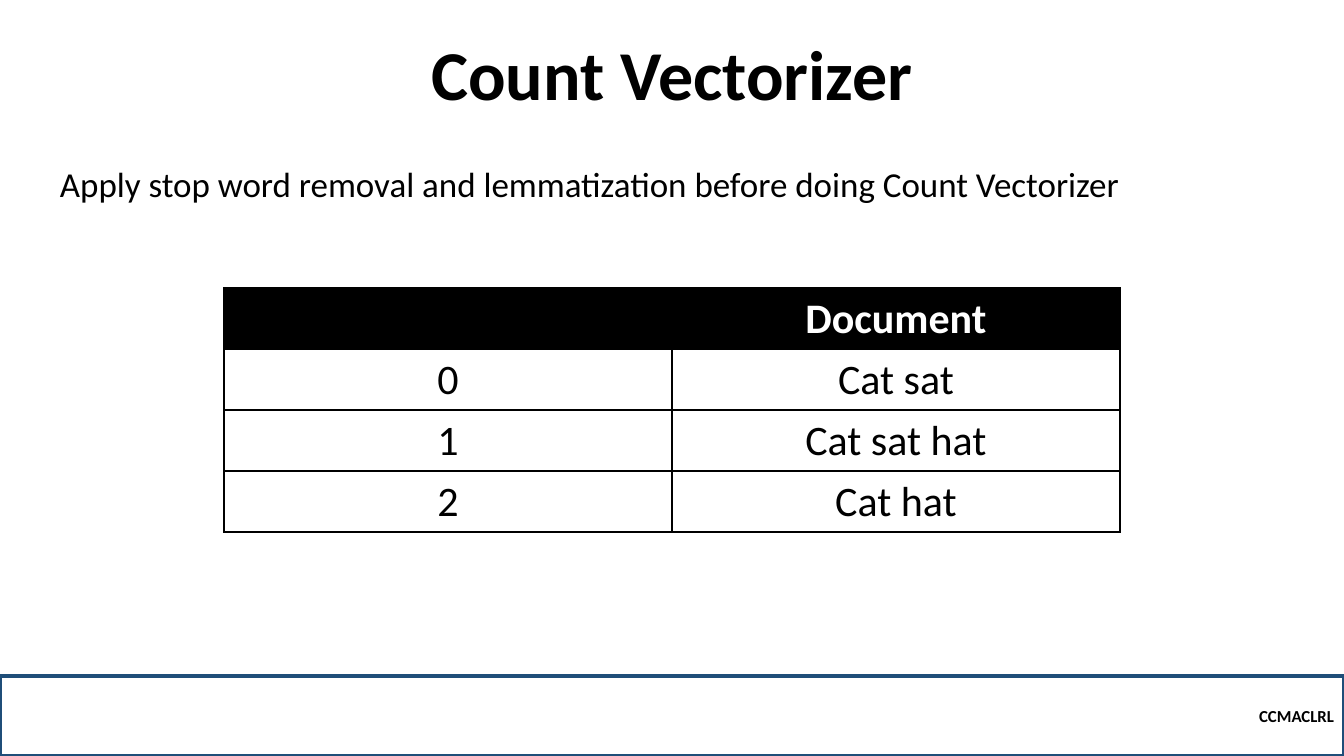
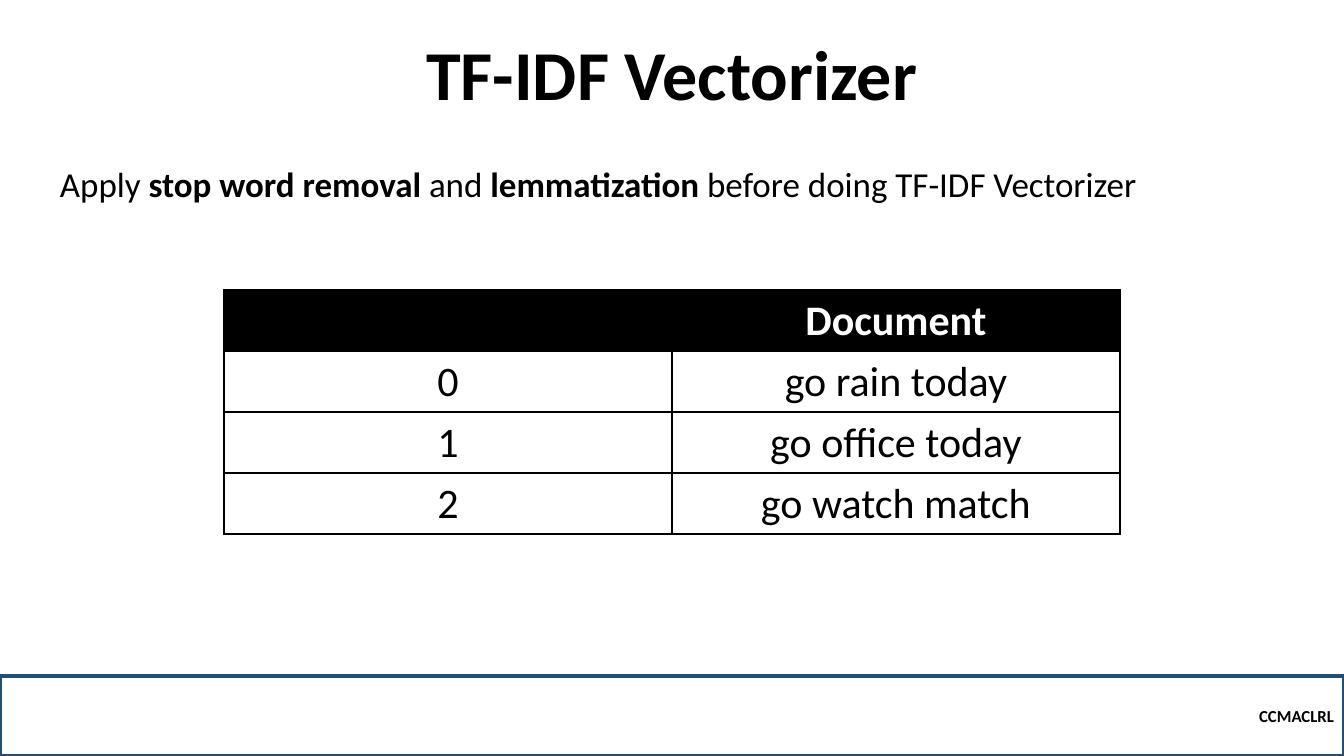
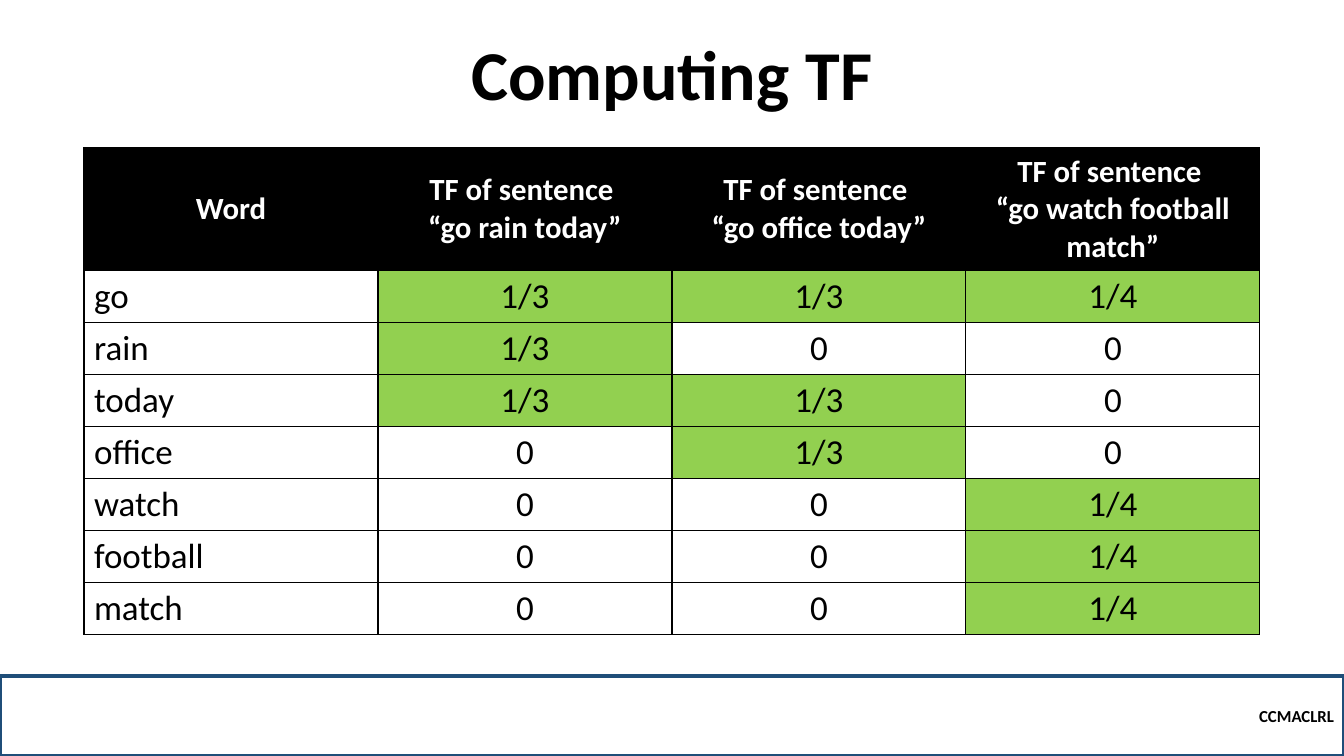
"""Build three slides on count and TF-IDF vectorizers."""
from lxml import etree
from pptx import Presentation
from pptx.dml.color import RGBColor
from pptx.enum.shapes import MSO_SHAPE
from pptx.enum.text import MSO_ANCHOR, PP_ALIGN
from pptx.oxml.ns import qn
from pptx.util import Pt

PX = 9071
WIDTH, HEIGHT = 1344, 756
MARGIN = 50
FONT = "Calibri"
BLACK, WHITE, NAVY, GREEN = "000000", "FFFFFF", "1F4E79", "92D050"
RECT = MSO_SHAPE.RECTANGLE
MIDDLE, BOTTOM = MSO_ANCHOR.MIDDLE, MSO_ANCHOR.BOTTOM
LEFT, CENTER, RIGHT = PP_ALIGN.LEFT, PP_ALIGN.CENTER, PP_ALIGN.RIGHT


def rgb(color):
    return RGBColor.from_string(color)


def write(p, runs, size, align=LEFT, color=BLACK):
    p.alignment = align
    for text, bold in runs:
        r = p.add_run()
        r.text = text
        r.font.name = FONT
        r.font.size = Pt(size)
        r.font.bold = bold
        r.font.color.rgb = rgb(color)


small = {"left": 224, "col_w": 448, "head_h": 61, "row_h": 61,
         "head_size": 30, "size": 30, "first_align": CENTER}
large = {"left": 84, "col_w": 294, "head_h": 122, "row_h": 52,
         "head_size": 22, "size": 25, "first_align": LEFT}

slides = [
    ("Count Vectorizer",
     [("Apply stop word removal and lemmatization before doing Count Vectorizer", False)],
     small, 288,
     [["", "Document"],
      ["0", "Cat sat"],
      ["1", "Cat sat hat"],
      ["2", "Cat hat"]]),
    ("TF-IDF Vectorizer",
     [("Apply ", False), ("stop word removal ", True), ("and ", False),
      ("lemmatization", True), (" before doing TF-IDF Vectorizer", False)],
     small, 290,
     [["", "Document"],
      ["0", "go rain today"],
      ["1", "go office today"],
      ["2", "go watch match"]]),
    ("Computing TF", [], large, 148,
     [["Word", "TF of sentence \n“go rain today”", "TF of sentence \n“go office today”",
       "TF of sentence \n“go watch football match”"],
      ["go", "1/3", "1/3", "1/4"],
      ["rain", "1/3", "0", "0"],
      ["today", "1/3", "1/3", "0"],
      ["office", "0", "1/3", "0"],
      ["watch", "0", "0", "1/4"],
      ["football", "0", "0", "1/4"],
      ["match", "0", "0", "1/4"]]),
]

prs = Presentation()
prs.slide_width = WIDTH * PX
prs.slide_height = HEIGHT * PX

for title, intro, style, top, rows in slides:
    s = prs.slides.add_slide(prs.slide_layouts[6])

    band = s.shapes.add_shape(RECT, 0, 676 * PX, WIDTH * PX, 80 * PX)
    band.shadow.inherit = False
    band.fill.background()
    band.line.color.rgb = rgb(NAVY)
    band.line.width = Pt(2.25)
    band.text_frame.vertical_anchor = MIDDLE
    write(band.text_frame.paragraphs[0], [("CCMACLRL", True)], 12, RIGHT)

    sp = s.shapes.add_textbox(MARGIN * PX, 41 * PX, (WIDTH - 2 * MARGIN) * PX, 80 * PX)
    tf = sp.text_frame
    tf.word_wrap = True
    tf.vertical_anchor = BOTTOM
    p = tf.paragraphs[0]
    p.line_spacing = 0.9
    write(p, [(title, True)], 50, CENTER)

    cols = len(rows[0])
    table_h = style["head_h"] + style["row_h"] * (len(rows) - 1)
    table = s.shapes.add_table(len(rows), cols, style["left"] * PX, top * PX,
                               cols * style["col_w"] * PX, table_h * PX).table
    for i, row in enumerate(rows):
        head = i == 0
        table.rows[i].height = style["head_h" if head else "row_h"] * PX
        for j, text in enumerate(row):
            cell = table.cell(i, j)
            cell.vertical_anchor = MIDDLE
            tcPr = cell._tc.get_or_add_tcPr()
            for side in ("a:lnL", "a:lnR", "a:lnT", "a:lnB"):
                ln = etree.SubElement(tcPr, qn(side), w=str(Pt(1)))
                fill = etree.SubElement(ln, qn("a:solidFill"))
                etree.SubElement(fill, qn("a:srgbClr"), val=BLACK)
            if head or "/" in text:
                cell.fill.solid()
                cell.fill.fore_color.rgb = rgb(BLACK if head else GREEN)
            else:
                cell.fill.background()
            align = style["first_align"] if j == 0 and not head else CENTER
            tf = cell.text_frame
            for k, line in enumerate(text.split("\n") if text else []):
                p = tf.add_paragraph() if k else tf.paragraphs[0]
                write(p, [(line, head)], style["head_size" if head else "size"],
                      align, WHITE if head else BLACK)

    if intro:
        sp = s.shapes.add_textbox(MARGIN * PX, 158 * PX, (WIDTH - 2 * MARGIN) * PX, 52 * PX)
        sp.text_frame.word_wrap = True
        write(sp.text_frame.paragraphs[0], intro, 25)

prs.save("out.pptx")
